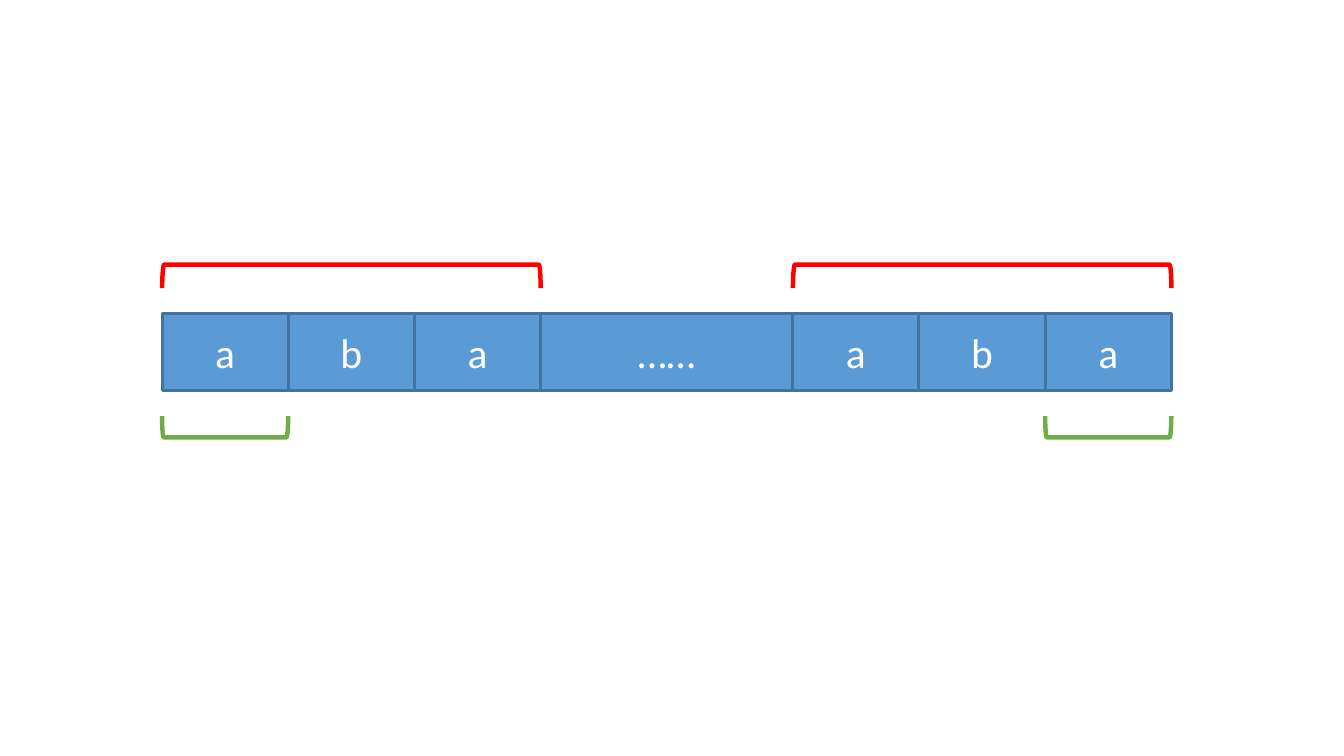
from dataclasses import dataclass

from pptx import Presentation
from pptx.dml.color import RGBColor
from pptx.enum.shapes import MSO_SHAPE
from pptx.enum.text import MSO_ANCHOR, PP_ALIGN
from pptx.util import Cm, Inches, Pt

RECTANGLE = MSO_SHAPE.RECTANGLE
LEFT_BRACKET = MSO_SHAPE.LEFT_BRACKET
MIDDLE = MSO_ANCHOR.MIDDLE
CENTER = PP_ALIGN.CENTER
OPEN_DOWN, OPEN_UP = 90, 270  # rotation of a left bracket


@dataclass(frozen=True)
class Theme:
    """Colours, type and line widths of the slide."""
    cell_fill: RGBColor = RGBColor(0x5B, 0x9B, 0xD5)
    cell_line: RGBColor = RGBColor(0x43, 0x73, 0x9E)
    text: RGBColor = RGBColor(0xFF, 0xFF, 0xFF)
    border: RGBColor = RGBColor(0xFF, 0x00, 0x00)
    inner_border: RGBColor = RGBColor(0x70, 0xAD, 0x47)
    font: str = "Calibri"
    text_size: Pt = Pt(14)
    cell_line_width: Pt = Pt(1)
    bracket_line_width: Pt = Pt(1.5)


@dataclass(frozen=True)
class Grid:
    """The string's row of equal columns, in inches."""
    left: float = 0.76
    top: float = 1.47
    width: float = 4.73
    height: float = 0.36
    columns: int = 8
    bracket_gap: float = 0.12

    def span(self, columns):
        """Return the width of a number of columns."""
        return self.width * columns / self.columns

    def x(self, column):
        """Return the left edge of a column."""
        return self.left + self.span(column)


THEME = Theme()
GRID = Grid()
SLIDE_WIDTH, SLIDE_HEIGHT = Cm(16), Cm(9)

# text, first column, number of columns
CELLS = [
    ("a", 0, 1), ("b", 1, 1), ("a", 2, 1),
    ("a", 5, 1), ("b", 6, 1), ("a", 7, 1), ("……", 3, 2),
]
# first column, number of columns, rotation, depth, colour
BRACKETS = [
    (0, 3, OPEN_DOWN, 0.11, THEME.border),
    (5, 3, OPEN_DOWN, 0.11, THEME.border),
    (0, 1, OPEN_UP, 0.1, THEME.inner_border),
    (7, 1, OPEN_UP, 0.1, THEME.inner_border),
]


def add_outlined(slide, kind, box, color, line_width):
    """Add a shape without shadow, with the given outline."""
    shape = slide.shapes.add_shape(kind, *map(Inches, box))
    shape.shadow.inherit = False
    shape.line.color.rgb = color
    shape.line.width = line_width
    return shape


def add_cell(slide, text, column, columns):
    """Add one cell of the string with its centred text."""
    box = (GRID.x(column), GRID.top, GRID.span(columns), GRID.height)
    cell = add_outlined(slide, RECTANGLE, box, THEME.cell_line,
                        THEME.cell_line_width)
    cell.fill.solid()
    cell.fill.fore_color.rgb = THEME.cell_fill
    cell.text_frame.text = text
    cell.text_frame.vertical_anchor = MIDDLE
    paragraph = cell.text_frame.paragraphs[0]
    paragraph.alignment = CENTER
    paragraph.font.name = THEME.font
    paragraph.font.size = THEME.text_size
    paragraph.font.color.rgb = THEME.text


def add_bracket(slide, column, columns, rotation, depth, color):
    """Add a turned bracket above or below a run of columns."""
    length = GRID.span(columns)
    center_x = GRID.x(column) + length / 2
    offset = GRID.bracket_gap + depth / 2
    if rotation == OPEN_DOWN:
        center_y = GRID.top - offset
    else:
        center_y = GRID.top + GRID.height + offset
    box = (center_x - depth / 2, center_y - length / 2, depth, length)
    bracket = add_outlined(slide, LEFT_BRACKET, box, color,
                           THEME.bracket_line_width)
    bracket.fill.background()
    bracket.rotation = rotation


def main():
    """Build the slide and save it."""
    presentation = Presentation()
    presentation.slide_width = SLIDE_WIDTH
    presentation.slide_height = SLIDE_HEIGHT
    slide = presentation.slides.add_slide(presentation.slide_layouts[6])
    for cell in CELLS:
        add_cell(slide, *cell)
    for bracket in BRACKETS:
        add_bracket(slide, *bracket)
    presentation.save("out.pptx")


main()
